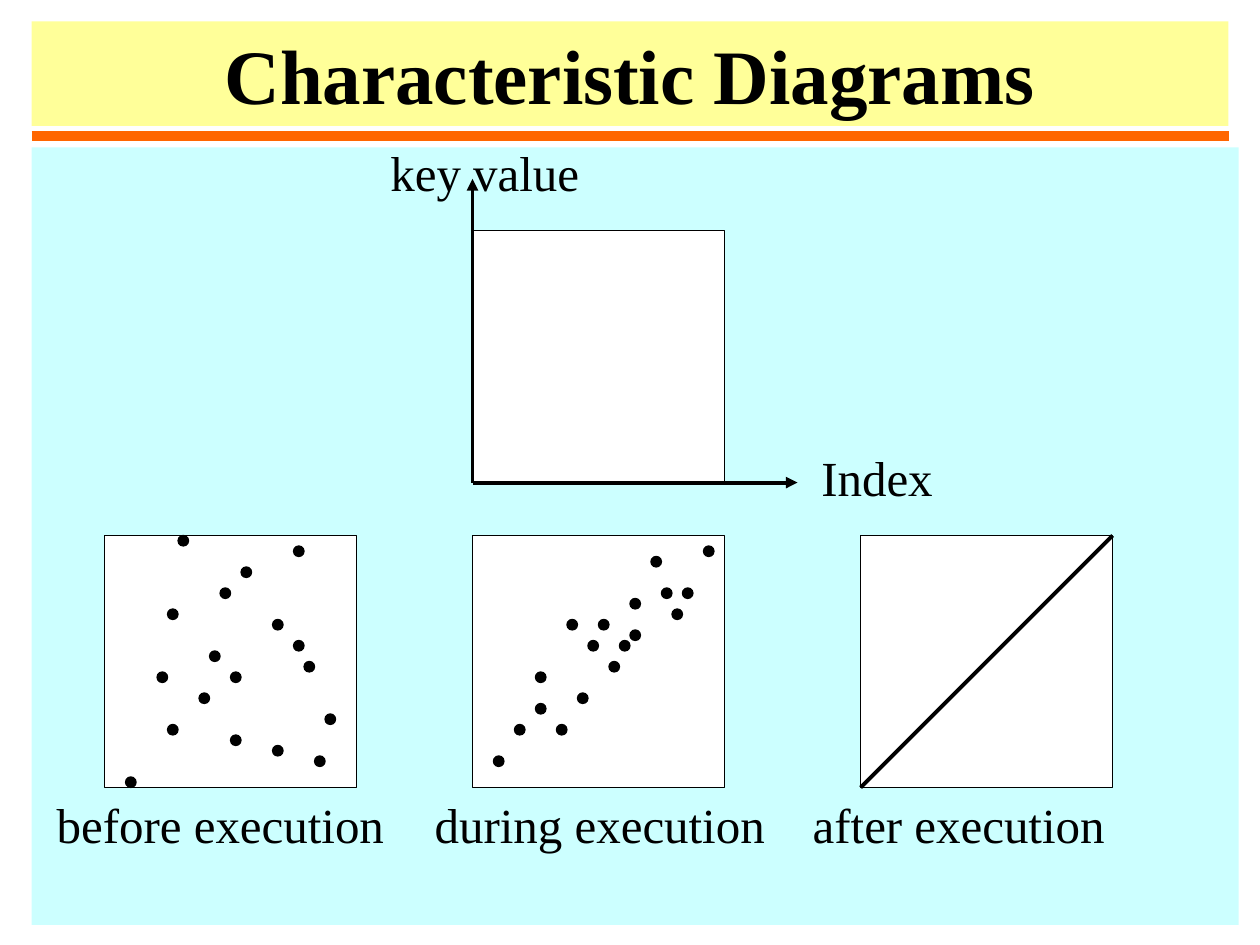
from pptx import Presentation
from pptx import util as u
from pptx.dml.color import RGBColor
from pptx.enum import shapes, text
from pptx.oxml.ns import qn
from lxml import etree

Inches, Pt = u.Inches, u.Pt
BLACK = RGBColor(0, 0, 0)
WHITE = RGBColor(0xFF, 0xFF, 0xFF)
YELLOW = RGBColor(0xFF, 0xFF, 0x99)
ORANGE = RGBColor(0xFF, 0x66, 0x00)
CYAN = RGBColor(0xCC, 0xFF, 0xFF)
FONT = "Times New Roman"
SIDE = 2
STEP = SIDE / 24
PLOT_TOP = 4.25
STAGES = ["before execution", "during execution", "after execution"]
LABEL_TABS = [3.18, 6.28]
BEFORE = [(7, 0), (18, 1), (13, 3), (11, 5), (6, 7), (16, 8), (18, 10), (10, 11), (19, 12),
          (5, 13), (12, 13), (9, 15), (21, 17), (6, 18), (12, 19), (16, 20), (20, 21), (2, 23)]
DURING = [(22, 1), (17, 2), (18, 5), (20, 5), (15, 6), (19, 7), (9, 8), (12, 8), (15, 9),
          (11, 10), (14, 10), (13, 12), (6, 13), (10, 15), (6, 16), (4, 18), (8, 18), (2, 21)]


def set_font(paragraph, size, bold=False):
    """Apply the slide's typeface to a paragraph."""
    font = paragraph.font
    font.name, font.size, font.bold = FONT, Pt(size), bold
    font.color.rgb = BLACK


def place(shape, left, top, width, height):
    """Move and size a placeholder, in inches."""
    shape.left, shape.top = Inches(left), Inches(top)
    shape.width, shape.height = Inches(width), Inches(height)


def add_figure(slide, kind, left, top, side, fill):
    """Draw a thinly outlined square figure."""
    figure = slide.shapes.add_shape(kind, Inches(left), Inches(top), Inches(side), Inches(side))
    figure.shadow.inherit = False
    figure.fill.solid()
    figure.fill.fore_color.rgb = fill
    figure.line.color.rgb = BLACK
    figure.line.width = Pt(0.75)


def add_line(slide, start, end, color=BLACK, width=2.25, arrow=False):
    """Draw a straight line, optionally with an arrowhead at its end."""
    points = [Inches(value) for value in (*start, *end)]
    line = slide.shapes.add_connector(shapes.MSO_CONNECTOR.STRAIGHT, *points)
    line.line.color.rgb = color
    line.line.width = Pt(width)
    properties = line._element.spPr
    if arrow:
        etree.SubElement(properties.find(qn("a:ln")), qn("a:tailEnd"), type="triangle")
    etree.SubElement(properties, qn("a:effectLst"))


def add_axis_label(slide, left, top, width, wording):
    """Write the name of an axis."""
    label = slide.shapes.add_textbox(Inches(left), Inches(top), Inches(width), Inches(0.57))
    frame = label.text_frame
    frame.word_wrap = True
    frame.vertical_anchor = text.MSO_ANCHOR.MIDDLE
    frame.text = wording
    set_font(frame.paragraphs[0], 28)


def add_title(slide, left, top, width, height):
    """Fill the title band and rule it off below."""
    title = slide.shapes.title
    place(title, left, top, width, height)
    title.fill.solid()
    title.fill.fore_color.rgb = YELLOW
    frame = title.text_frame
    frame.text = "Characteristic Diagrams"
    frame.auto_size = text.MSO_AUTO_SIZE.NONE
    frame.vertical_anchor = text.MSO_ANCHOR.MIDDLE
    frame.paragraphs[0].alignment = text.PP_ALIGN.CENTER
    set_font(frame.paragraphs[0], 44, True)
    rule = top + height + 0.08
    add_line(slide, (left, rule), (left + width, rule), ORANGE, 6)


def add_body(slide, left, top, width, height):
    """Fill the body panel with the stage names on one tabbed line."""
    body = slide.placeholders[1]
    place(body, left, top, width, height)
    body.fill.solid()
    body.fill.fore_color.rgb = CYAN
    frame = body.text_frame
    frame.text = "\t".join(STAGES)
    frame.auto_size = text.MSO_AUTO_SIZE.NONE
    frame.vertical_anchor = text.MSO_ANCHOR.BOTTOM
    frame.margin_left = Inches(0.2)
    frame.margin_bottom = Inches(0.57)
    paragraph = frame.paragraphs[0]
    paragraph.space_before = Pt(0)
    properties = paragraph._p.get_or_add_pPr()
    properties.set("marL", "0")
    properties.set("indent", "0")
    etree.SubElement(properties, qn("a:buNone"))
    tabs = etree.SubElement(properties, qn("a:tabLst"))
    for position in LABEL_TABS:
        etree.SubElement(tabs, qn("a:tab"), pos=str(Inches(position - 0.1)), algn="l")
    set_font(paragraph, 28)


def add_axes(slide, left, top):
    """Draw the empty diagram with its two named axes."""
    base = top + SIDE
    add_figure(slide, shapes.MSO_SHAPE.RECTANGLE, left, top, SIDE, WHITE)
    add_axis_label(slide, left + 2.67, base - 0.33, 1.39, "Index")
    add_line(slide, (left, base), (left, top - 0.41), arrow=True)
    add_line(slide, (left, base), (left + 2.58, base), arrow=True)
    add_axis_label(slide, left - 0.75, top - 0.75, 1.75, "key value")


def add_scatter(slide, left, top, dots):
    """Draw a diagram whose dots sit on a 24-step grid."""
    add_figure(slide, shapes.MSO_SHAPE.RECTANGLE, left, top, SIDE, WHITE)
    for column, row in dots:
        add_figure(slide, shapes.MSO_SHAPE.OVAL,
                   left + column * STEP, top + row * STEP, STEP, BLACK)


def add_sorted(slide, left, top):
    """Draw the diagram of sorted keys as a rising diagonal."""
    add_figure(slide, shapes.MSO_SHAPE.RECTANGLE, left, top, SIDE, WHITE)
    add_line(slide, (left, top + SIDE), (left + SIDE, top))


def main():
    """Build and save the slide."""
    deck = Presentation()
    deck.slide_width, deck.slide_height = Inches(10), Inches(7.5)
    slide = deck.slides.add_slide(deck.slide_layouts[1])
    add_title(slide, 0.25, 0.17, 9.5, 0.83)
    add_body(slide, 0.25, 1.17, 9.58, 6.17)
    add_scatter(slide, 0.83, PLOT_TOP, BEFORE)
    add_scatter(slide, 3.75, PLOT_TOP, DURING)
    add_sorted(slide, 6.83, PLOT_TOP)
    add_axes(slide, 3.75, 1.83)
    deck.save("out.pptx")


if __name__ == "__main__":
    main()
